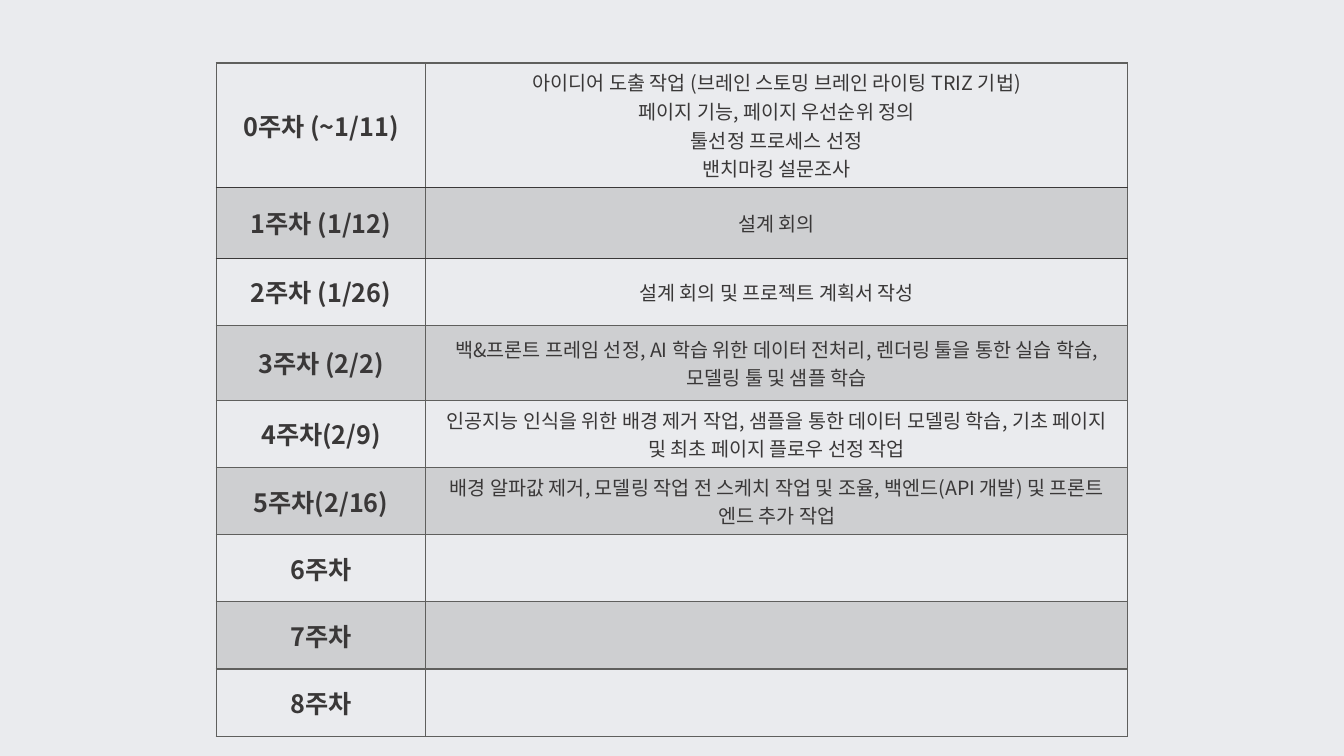
from lxml import etree
from pptx import Presentation
from pptx.dml.color import RGBColor
from pptx.enum import text
from pptx.oxml import ns
from pptx.util import Pt

COLORS = {"background": "EAEBEE", "text": "3A3838", "grid": "5F5F5D"}
FONT = "Noto Sans CJK KR"
WEEKS = [
    ("0주차 (~1/11)", ["아이디어 도출 작업 (브레인 스토밍 브레인 라이팅 TRIZ 기법)",
                     "페이지 기능, 페이지 우선순위 정의",
                     "툴선정 프로세스 선정",
                     "밴치마킹 설문조사"], 88.5),
    ("1주차 (1/12)", ["설계 회의"], 50.7),
    ("2주차 (1/26)", ["설계 회의 및 프로젝트 계획서 작성"], 48),
    ("3주차 (2/2)", ["백&프론트 프레임 선정, AI 학습 위한 데이터 전처리, 렌더링 툴을 통한 실습 학습, "
                   "모델링 툴 및 샘플 학습"], 53.3),
    ("4주차(2/9)", ["인공지능 인식을 위한 배경 제거 작업, 샘플을 통한 데이터 모델링 학습, "
                  "기초 페이지 및 최초 페이지 플로우 선정 작업"], 48),
    ("5주차(2/16)", ["배경 알파값 제거, 모델링 작업 전 스케치 작업 및 조율, "
                   "백엔드(API 개발) 및 프론트 엔드 추가 작업"], 48),
    ("6주차", [], 48),
    ("7주차", [], 48),
    ("8주차", [], 48),
]
DARK_EDGES = {1, 2}


def add_border(tcPr, index, tag, color):
    ln = etree.Element(ns.qn(f"a:{tag}"), w=str(Pt(1)))
    fill = etree.SubElement(ln, ns.qn("a:solidFill"))
    etree.SubElement(fill, ns.qn("a:srgbClr"), val=COLORS[color])
    tcPr.insert(index, ln)


def write_cell(cell, lines, size, bold):
    tf = cell.text_frame
    tf.text = "\n".join(lines)
    for p in tf.paragraphs:
        p.alignment = text.PP_ALIGN.CENTER
        p.font.name = FONT
        p.font.size = Pt(size)
        p.font.bold = bold
        p.font.color.rgb = RGBColor.from_string(COLORS["text"])
        latin = p._p.find(f".//{ns.qn('a:latin')}")
        latin.addnext(etree.Element(ns.qn("a:ea"), typeface=FONT))


prs = Presentation()
prs.slide_width, prs.slide_height = Pt(960), Pt(540)
s = prs.slides.add_slide(prs.slide_layouts[6])
s.background.fill.solid()
s.background.fill.fore_color.rgb = RGBColor.from_string(COLORS["background"])

height = sum(week[2] for week in WEEKS)
table = s.shapes.add_table(len(WEEKS), 2, Pt(154.4), Pt(45), Pt(651), Pt(height)).table
table.first_row = False
table.horz_banding = False
table.columns[0].width = Pt(149.8)
table.columns[1].width = Pt(501.2)

for i, (week, tasks, row_height) in enumerate(WEEKS):
    row = table.rows[i]
    row.height = Pt(row_height)
    write_cell(row.cells[0], [week], 18, True)
    write_cell(row.cells[1], tasks, 14, False)
    top = "text" if i in DARK_EDGES else "grid"
    bottom = "text" if i + 1 in DARK_EDGES else "grid"
    for cell in row.cells:
        cell.vertical_anchor = text.MSO_ANCHOR.MIDDLE
        if i % 2:
            cell.fill.solid()
            cell.fill.fore_color.rgb = RGBColor.from_string(COLORS["grid"])
        else:
            cell.fill.background()
        tcPr = cell._tc.get_or_add_tcPr()
        for color in tcPr.iter(ns.qn("a:srgbClr")):
            etree.SubElement(color, ns.qn("a:alpha"), val="20000")
        edges = [("lnL", "grid"), ("lnR", "grid"), ("lnT", top), ("lnB", bottom)]
        for index, (tag, color) in enumerate(edges):
            add_border(tcPr, index, tag, color)

prs.save("out.pptx")
